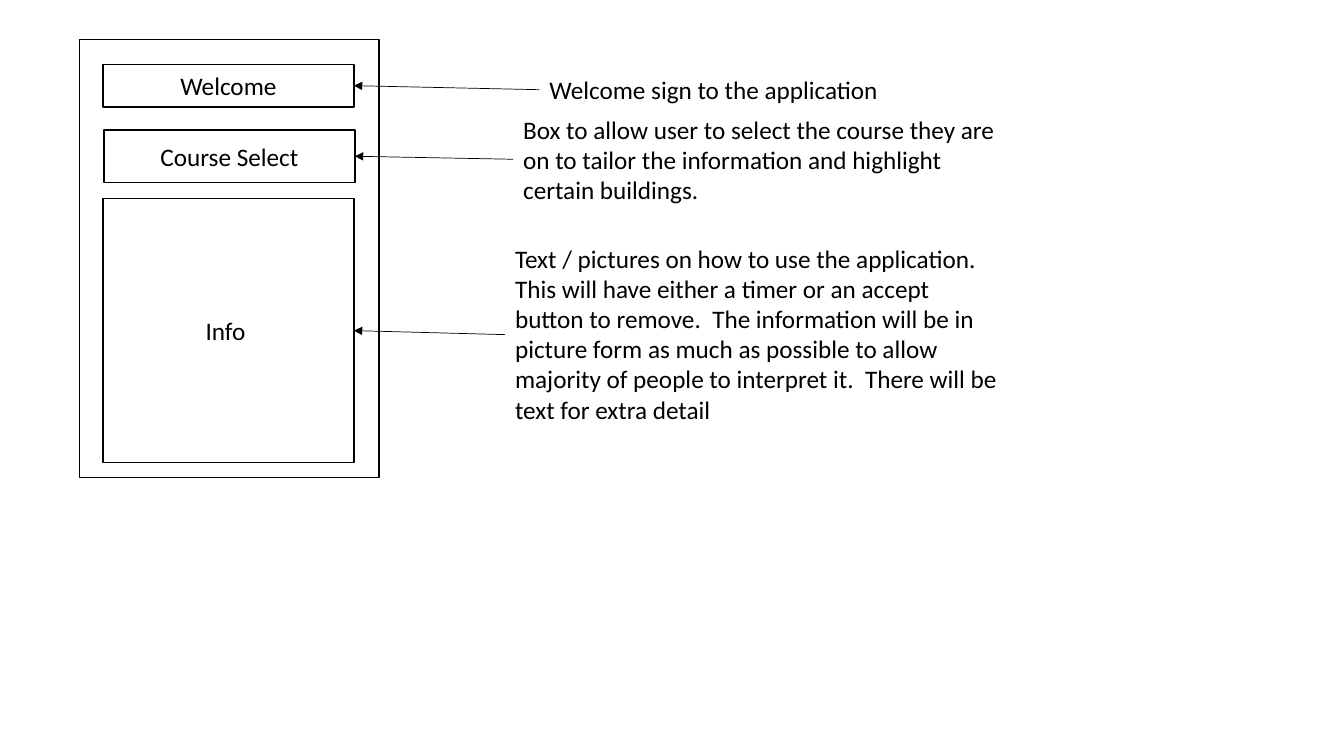
from lxml import etree
from pptx import Presentation
from pptx.dml.color import RGBColor
from pptx.enum.shapes import MSO_CONNECTOR, MSO_SHAPE
from pptx.enum.text import MSO_ANCHOR, MSO_AUTO_SIZE, PP_ALIGN
from pptx.oxml.ns import qn
from pptx.util import Pt

RECTANGLE = MSO_SHAPE.RECTANGLE
STRAIGHT = MSO_CONNECTOR.STRAIGHT
MIDDLE = MSO_ANCHOR.MIDDLE
GROW = MSO_AUTO_SIZE.SHAPE_TO_FIT_TEXT
LEFT, CENTER = PP_ALIGN.LEFT, PP_ALIGN.CENTER

EMU_PER_PX = 9144  # 100 px to the inch
SLIDE_SIZE = (1333, 750)
BLANK_LAYOUT = 6

SCREEN = (79, 39, 297, 435)
# label, box, note, note box
PARTS = [
    ("Welcome", (102, 64, 249, 42),
     "Welcome sign to the application", (535, 69, 501, 40)),
    ("Info ", (102, 197, 249, 262),
     "Text / pictures on how to use the application.  This will have either "
     "a timer or an accept button to remove.  The information will be in "
     "picture form as much as possible to allow majority of people to "
     "interpret it.  There will be text for extra detail",
     (501, 236, 501, 192)),
    ("Course Select", (103, 129, 249, 52),
     "Box to allow user to select the course they are on to tailor the "
     "information and highlight certain buildings.", (509, 108, 501, 101)),
]


def px(*lengths):
    """Turn px lengths into EMU."""
    return [length * EMU_PER_PX for length in lengths]


def color(hex_string):
    return RGBColor.from_string(hex_string)


class Wireframe:
    """Holds the style and the slide on which elements are drawn."""

    font = "Calibri"
    text_size = 18
    ink = "000000"
    paper = "FFFFFF"
    box_line = 1
    arrow_line = 0.5

    def __init__(self, slide):
        self.slide = slide

    def add_text(self, frame, text, align=LEFT):
        frame.word_wrap = True
        paragraph = frame.paragraphs[0]
        paragraph.alignment = align
        run = paragraph.add_run()
        run.text = text
        run.font.name = self.font
        run.font.size = Pt(self.text_size)
        run.font.color.rgb = color(self.ink)

    def box(self, bounds, label=None):
        shape = self.slide.shapes.add_shape(RECTANGLE, *px(*bounds))
        shape.shadow.inherit = False
        shape.fill.solid()
        shape.fill.fore_color.rgb = color(self.paper)
        shape.line.color.rgb = color(self.ink)
        shape.line.width = Pt(self.box_line)
        if label:
            shape.text_frame.vertical_anchor = MIDDLE
            self.add_text(shape.text_frame, label, align=CENTER)

    def note(self, bounds, text):
        shape = self.slide.shapes.add_textbox(*px(*bounds))
        self.add_text(shape.text_frame, text)
        shape.text_frame.auto_size = GROW

    def arrow(self, note_bounds, box_bounds):
        """Point from the middle left of a note to the middle right of a box."""
        note_left, note_top, _, note_height = note_bounds
        box_left, box_top, box_width, box_height = box_bounds
        connector = self.slide.shapes.add_connector(STRAIGHT, *px(
            note_left, note_top + note_height // 2,
            box_left + box_width, box_top + box_height // 2))
        connector.line.color.rgb = color(self.ink)
        connector.line.width = Pt(self.arrow_line)
        properties = connector._element.spPr
        line = properties.find(qn("a:ln"))
        etree.SubElement(line, qn("a:tailEnd"), type="triangle")
        etree.SubElement(properties, qn("a:effectLst"))


def main():
    presentation = Presentation()
    presentation.slide_width, presentation.slide_height = px(*SLIDE_SIZE)
    layout = presentation.slide_layouts[BLANK_LAYOUT]
    wireframe = Wireframe(presentation.slides.add_slide(layout))

    wireframe.box(SCREEN)
    for label, box_bounds, note, note_bounds in PARTS:
        wireframe.box(box_bounds, label)
        wireframe.note(note_bounds, note)
        wireframe.arrow(note_bounds, box_bounds)

    presentation.save("out.pptx")


if __name__ == "__main__":
    main()
